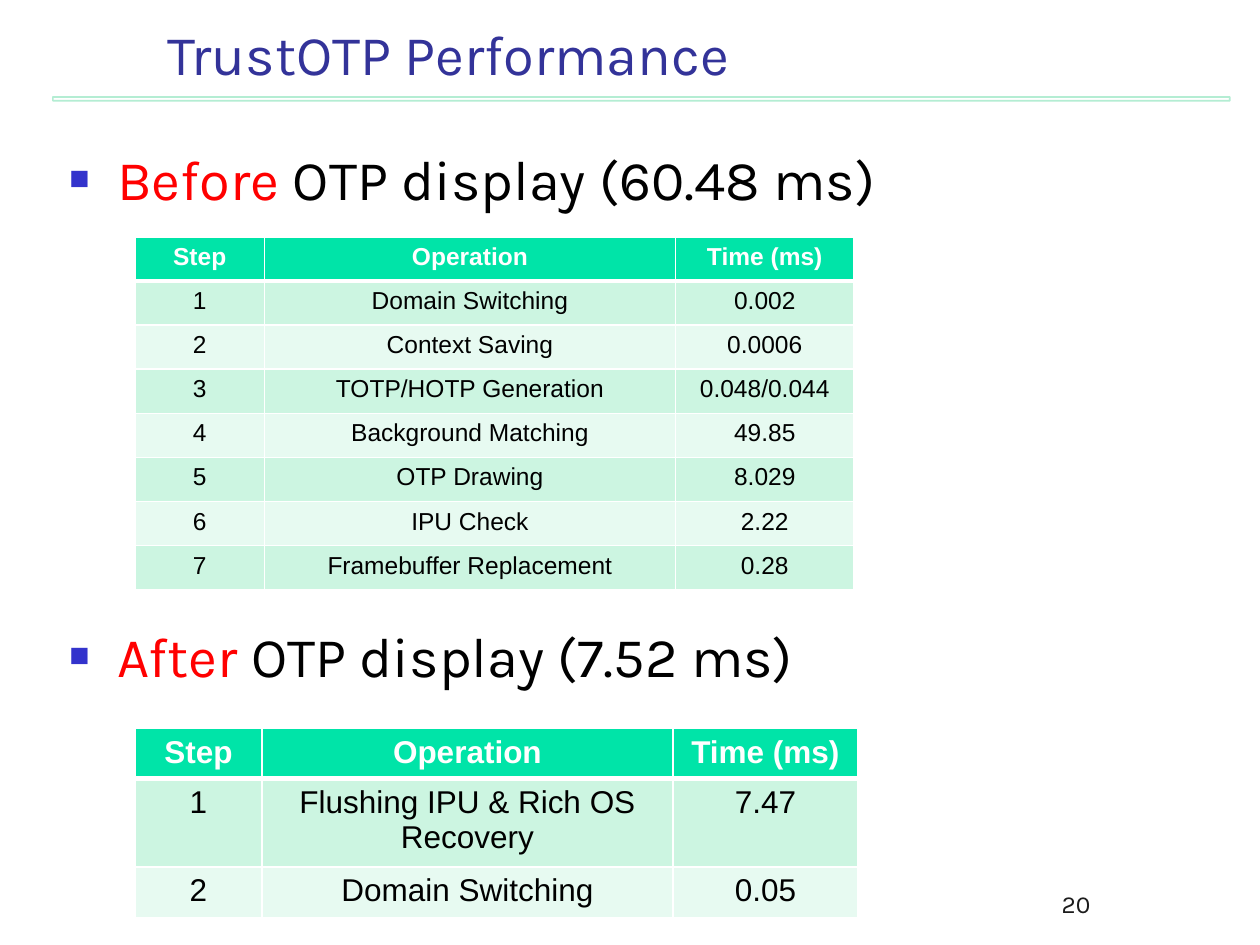
from lxml.etree import SubElement
from pptx import Presentation
from pptx.dml.color import RGBColor
from pptx.enum.shapes import MSO_SHAPE
from pptx.enum.text import MSO_ANCHOR, PP_ALIGN
from pptx.oxml.ns import qn
from pptx.util import Inches, Pt

COLORS = {
    "title": "333399", "rule": "A4EACA", "bullet": "3333CC",
    "accent": "FF0000", "text": "000000", "number": "1C1C1C",
    "header": "00E4A8", "band": "CCF5E1", "pale": "E7FAF1", "white": "FFFFFF",
}
HEADINGS = ("Step", "Operation", "Time (ms)")
BEFORE_STEPS = [
    ("Domain Switching", "0.002"),
    ("Context Saving", "0.0006"),
    ("TOTP/HOTP Generation", "0.048/0.044"),
    ("Background Matching", "49.85"),
    ("OTP Drawing", "8.029"),
    ("IPU Check", "2.22"),
    ("Framebuffer Replacement", "0.28"),
]
AFTER_STEPS = [
    ("Flushing IPU & Rich OS Recovery", "7.47"),
    ("Domain Switching", "0.05"),
]
# (accented word, rest of the line, space before in points)
SECTIONS = [
    ("Before", " OTP display (60.48 ms)", 7),
    ("After", " OTP display (7.52 ms)", 234),
]


def rgb(name):
    return RGBColor.from_string(COLORS[name])


def add_run(paragraph, text, color, size, font="Karla", bold=False):
    run = paragraph.add_run()
    run.text = text
    for attribute, value in {"name": font, "size": Pt(size), "bold": bold}.items():
        setattr(run.font, attribute, value)
    run.font.color.rgb = rgb(color)


def add_text_frame(slide, left, top, width, height, anchor):
    frame = slide.shapes.add_textbox(
        Inches(left), Inches(top), Inches(width), Inches(height)).text_frame
    layout = {"word_wrap": True, "vertical_anchor": anchor}
    layout.update({f"margin_{side}": Inches(0.05)
                   for side in ("left", "top", "right", "bottom")})
    for attribute, value in layout.items():
        setattr(frame, attribute, value)
    return frame


def add_rule(slide):
    """Draw the thin, slightly transparent bar under the title."""
    rule = slide.shapes.add_shape(
        MSO_SHAPE.RECTANGLE, Inches(0.42), Inches(0.77), Inches(9.34), Inches(0.03))
    rule.shadow.inherit = False
    rule.fill.background()
    rule.line.color.rgb = rgb("rule")
    rule.line.width = Pt(1)
    color = rule.line._ln.find(f".//{qn('a:srgbClr')}")
    SubElement(color, qn("a:alpha"), val="81000")


def set_bullet(paragraph):
    properties = paragraph._p.get_or_add_pPr()
    properties.set("marL", str(Inches(0.38)))
    properties.set("indent", str(Inches(-0.38)))
    color = SubElement(properties, qn("a:buClr"))
    SubElement(color, qn("a:srgbClr"), val=COLORS["bullet"])
    SubElement(properties, qn("a:buSzPct"), val="60000")
    SubElement(properties, qn("a:buFont"), typeface="Arial")
    SubElement(properties, qn("a:buChar"), char="■")


def add_sections(slide):
    frame = add_text_frame(slide, 0.5, 1.1, 9, 6.4, MSO_ANCHOR.TOP)
    for index, (accent, rest, space) in enumerate(SECTIONS):
        section = frame.add_paragraph() if index else frame.paragraphs[0]
        section.space_before = Pt(space)
        set_bullet(section)
        add_run(section, accent, "accent", 32)
        add_run(section, rest, "text", 32)


def set_borders(cell, row):
    """Rule the cell in white, with a heavier line below the header."""
    widths = {"L": 1, "R": 1, "T": 3 if row == 1 else 1, "B": 3 if row == 0 else 1}
    properties = cell._tc.get_or_add_tcPr()
    for side, width in widths.items():
        border = SubElement(properties, qn(f"a:ln{side}"), w=str(Pt(width)))
        fill = SubElement(border, qn("a:solidFill"))
        SubElement(fill, qn("a:srgbClr"), val=COLORS["white"])


def add_step_table(slide, top, widths, steps, size):
    rows = [HEADINGS] + [(str(number), *step) for number, step in enumerate(steps, 1)]
    table = slide.shapes.add_table(
        len(rows), len(widths), Inches(1.07), Inches(top),
        Inches(sum(widths)), Inches(0.35 * len(rows))).table
    for column, width in zip(table.columns, widths):
        column.width = Inches(width)
    for row, values in enumerate(rows):
        is_header = row == 0
        fill = "header" if is_header else "band" if row % 2 else "pale"
        for column, value in enumerate(values):
            cell = table.cell(row, column)
            set_borders(cell, row)
            cell.fill.solid()
            cell.fill.fore_color.rgb = rgb(fill)
            paragraph = cell.text_frame.paragraphs[0]
            paragraph.alignment = PP_ALIGN.CENTER
            add_run(paragraph, value, "white" if is_header else "text",
                    size, "Arial", is_header)


def main():
    deck = Presentation()
    deck.slide_width, deck.slide_height = Inches(10), Inches(7.5)
    slide = deck.slides.add_slide(deck.slide_layouts[6])

    add_rule(slide)
    number = add_text_frame(slide, 7.5, 7, 2.08, 0.34, MSO_ANCHOR.BOTTOM).paragraphs[0]
    number.alignment = PP_ALIGN.CENTER
    add_run(number, "20", "number", 14)
    title = add_text_frame(slide, 1.28, 0, 6.76, 0.74, MSO_ANCHOR.BOTTOM).paragraphs[0]
    add_run(title, "TrustOTP Performance", "title", 32)
    add_sections(slide)
    add_step_table(slide, 1.88, (1.03, 3.26, 1.42), BEFORE_STEPS, 14)
    add_step_table(slide, 5.78, (1.01, 3.26, 1.47), AFTER_STEPS, 18)

    deck.save("out.pptx")


if __name__ == "__main__":
    main()
